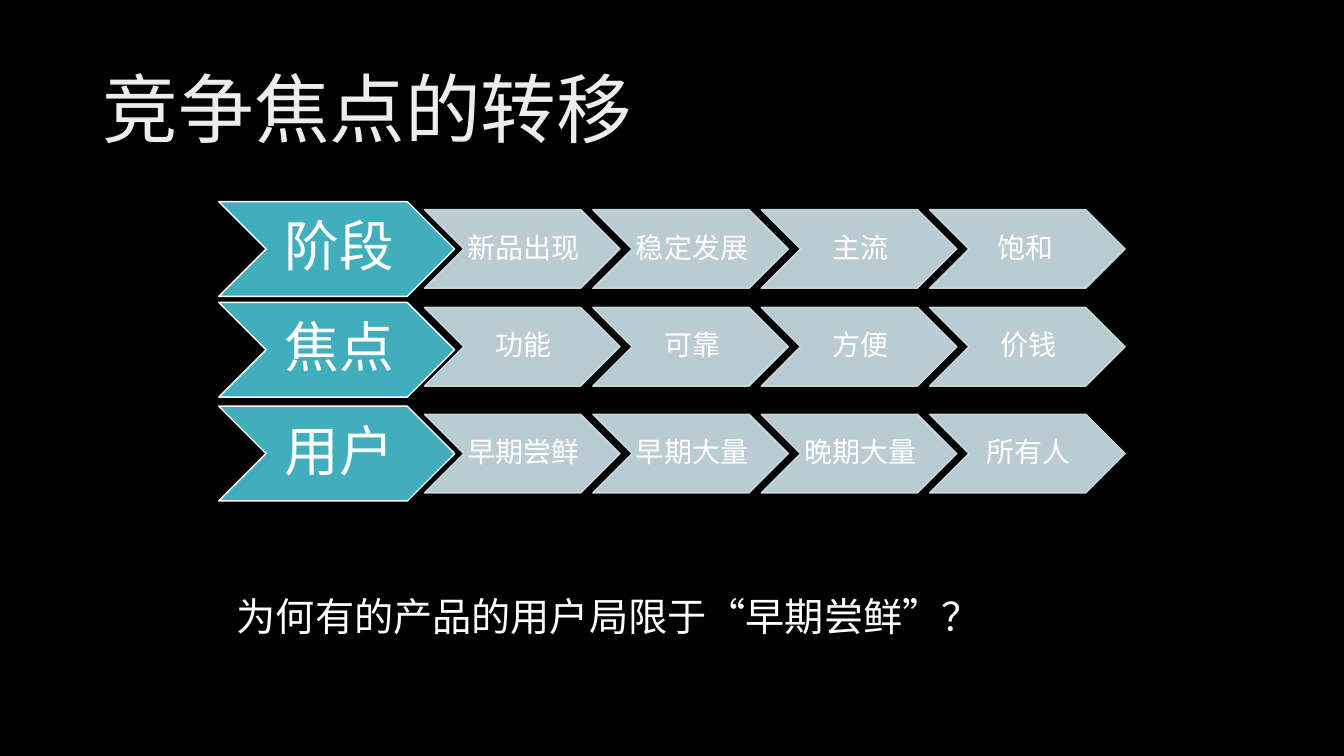
from lxml import etree
from pptx import Presentation
from pptx.dml import color as c
from pptx.enum import shapes, text as t
from pptx.oxml import ns
from pptx import util as u

ROWS = [
    (2, 2.08, "阶段", ["新品出现", "稳定发展", "主流", "饱和 "]),
    (3, 3.05, "焦点", ["功能", "可靠", "方便", "价钱"]),
    (4.03, 4.11, "用户", ["早期尝鲜", "早期大量", "晚期大量", "所有人"]),
]
STOPS = [(0, "BFBFBF"), (28, "EDEDED"), (100, "FFFFFF")]


def paint(fill, tone, alpha=100):
    fill.solid()
    fill.fore_color.rgb = c.RGBColor.from_string(tone)
    if alpha < 100:
        node = fill._xPr.find(".//" + ns.qn("a:srgbClr"))
        etree.SubElement(node, ns.qn("a:alpha"), val=str(alpha * 1000))


def write(shape, words, size, tone="FFFFFF", align=t.PP_ALIGN.LEFT,
          anchor=t.MSO_ANCHOR.TOP, space=None, inset=None):
    frame = shape.text_frame
    frame.word_wrap = True
    frame.vertical_anchor = anchor
    if inset:
        sides = ("margin_left", "margin_top", "margin_right", "margin_bottom")
        for side, gap in zip(sides, inset):
            setattr(frame, side, u.Inches(gap))
    para = frame.paragraphs[0]
    para.alignment = align
    para.line_spacing = space
    run = para.add_run()
    run.text = words
    run.font.size = u.Pt(size)
    run.font.name = "Calibri"
    paint(run.font.fill, tone)
    return run


def blend(run, stops, angle):
    rpr = run.font._element
    solid = rpr.find(ns.qn("a:solidFill"))
    grad = etree.Element(ns.qn("a:gradFill"))
    rpr.replace(solid, grad)
    items = etree.SubElement(grad, ns.qn("a:gsLst"))
    for place, tone in stops:
        stop = etree.SubElement(items, ns.qn("a:gs"), pos=str(place * 1000))
        etree.SubElement(stop, ns.qn("a:srgbClr"), val=tone)
    etree.SubElement(grad, ns.qn("a:lin"), ang=str(angle * 60000), scaled="0")


def arrow(slide, box, words, size, tone, edge, alpha, inset):
    shape = slide.shapes.add_shape(
        shapes.MSO_SHAPE.CHEVRON, *map(u.Inches, box))
    shape.shadow.inherit = False
    paint(shape.fill, tone, alpha)
    paint(shape.line.fill, edge, alpha)
    shape.line.width = u.Pt(1)
    write(shape, words, size, align=t.PP_ALIGN.CENTER,
          anchor=t.MSO_ANCHOR.MIDDLE, space=0.9, inset=inset)


def head(slide, words):
    title = slide.shapes.title
    title.left, title.top = u.Inches(0.92), u.Inches(0.4)
    title.width, title.height = u.Inches(11.5), u.Inches(1.45)
    run = write(title, words, 54, anchor=t.MSO_ANCHOR.MIDDLE, space=0.9)
    blend(run, STOPS, 80)


def note(slide, words):
    box = slide.shapes.add_textbox(
        u.Inches(2.25), u.Inches(5.83), u.Inches(8.67), u.Inches(0.57))
    write(box, words, 28)
    box.text_frame.auto_size = t.MSO_AUTO_SIZE.SHAPE_TO_FIT_TEXT


def main():
    deck = Presentation()
    deck.slide_width, deck.slide_height = u.Inches(13.33), u.Inches(7.5)
    slide = deck.slides.add_slide(deck.slide_layouts[5])
    paint(slide.background.fill, "000000")
    head(slide, "竞争焦点的转移")
    for top, low, label, steps in ROWS:
        arrow(slide, (2.17, top, 2.34, 0.94), label, 39,
              "41AEBD", "FFFFFF", 100, (0.05, 0.03, 0, 0.03))
        for i, step in enumerate(steps):
            arrow(slide, (4.21 + i * 1.67, low, 1.94, 0.78), step, 20,
                  "CFE3E8", "CFE3E8", 90, (0.03, 0.01, 0, 0.01))
    note(slide, "为何有的产品的用户局限于“早期尝鲜”？")
    deck.save("out.pptx")


if __name__ == "__main__":
    main()
